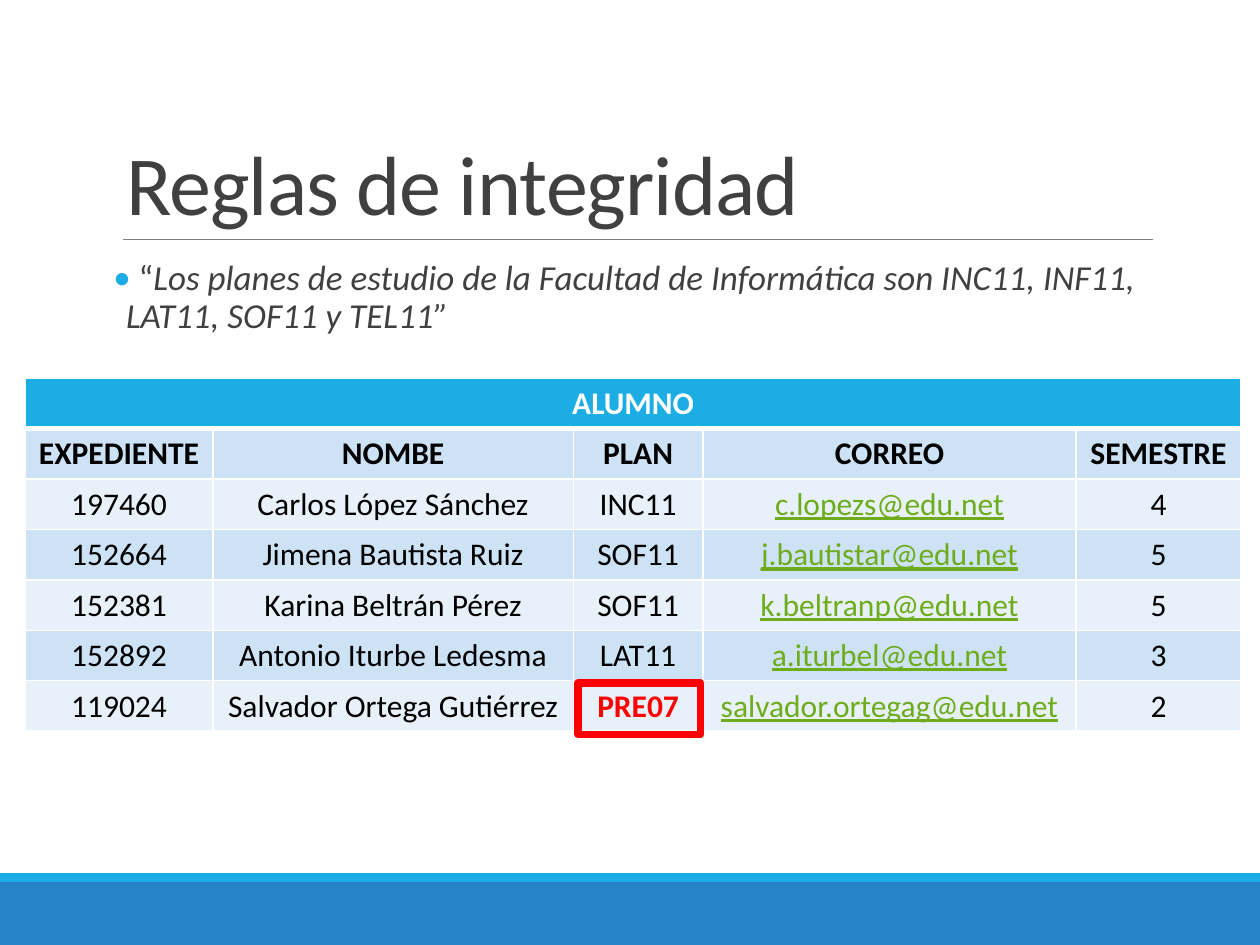
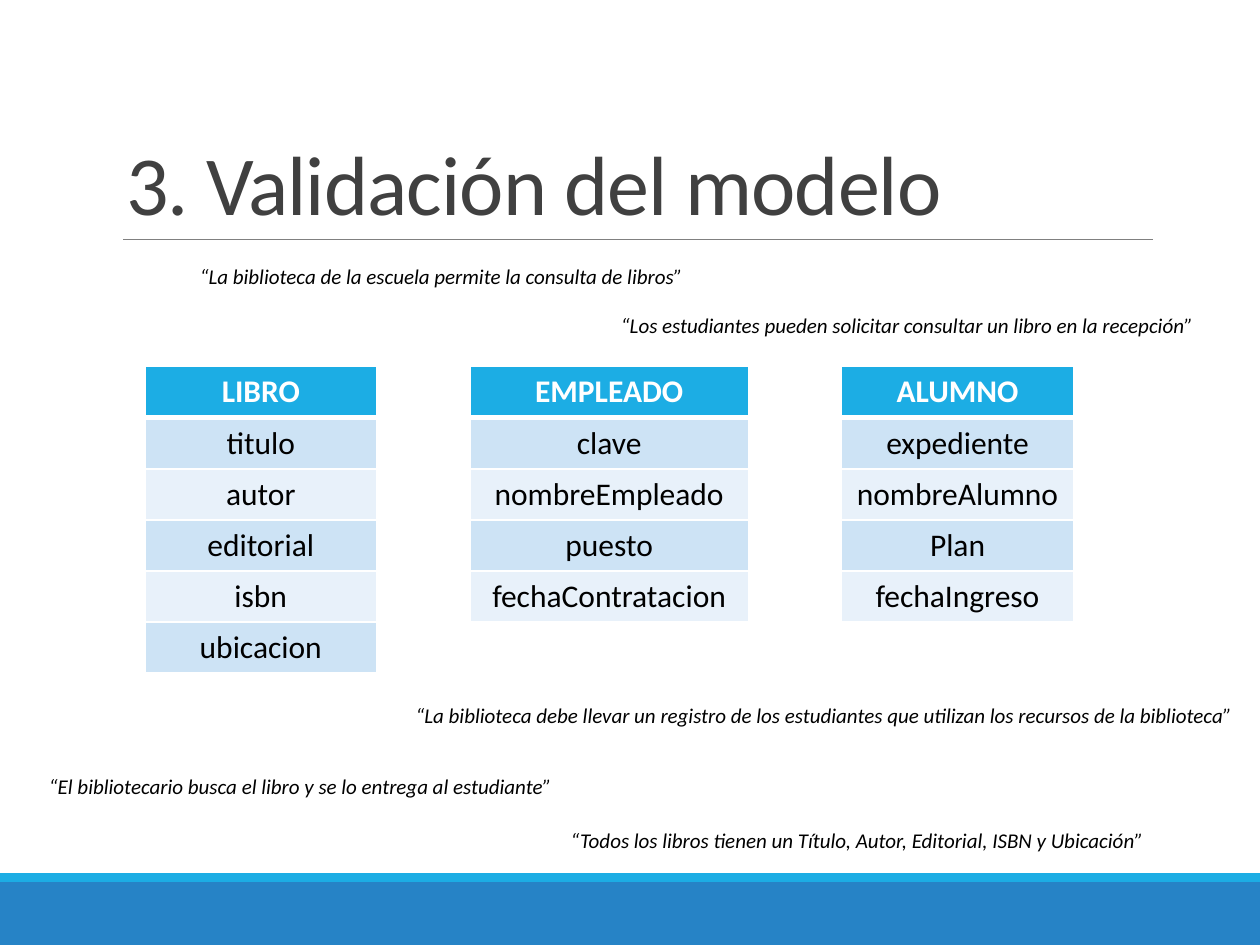
from dataclasses import dataclass

from lxml.etree import SubElement
from pptx import Presentation
from pptx.dml.color import RGBColor
from pptx.enum.shapes import MSO_CONNECTOR, MSO_SHAPE
from pptx.enum.text import MSO_ANCHOR, MSO_AUTO_SIZE, PP_ALIGN
from pptx.oxml.ns import qn
from pptx.util import Inches, Pt


@dataclass(frozen=True)
class Theme:
    font: str = "Calibri"
    accent: str = "1CADE4"
    footer: str = "2683C6"
    rule: str = "808080"
    heading: str = "404040"
    ink: str = "000000"
    white: str = "FFFFFF"
    link: str = "6EAC1C"
    alert: str = "FF0000"
    bands: tuple[str, str] = ("E8F1FA", "CDE3F5")
    title_size: int = 48
    body_size: int = 20
    table_size: int = 18
    quote_size: int = 12


@dataclass(frozen=True)
class Box:
    left: float
    top: float
    width: float
    height: float

    def lengths(self) -> tuple:
        return tuple(map(Inches, (self.left, self.top, self.width, self.height)))


@dataclass(frozen=True)
class TableSpec:
    name: str
    left: float
    top: float
    widths: tuple[float, ...]
    rows: tuple[tuple[str, ...], ...]
    has_column_names: bool = False
    invalid: str = ""


@dataclass(frozen=True)
class Entity:
    name: str
    width: float
    attributes: tuple[str, ...]


@dataclass(frozen=True)
class Quote:
    text: str
    left: float
    top: float
    width: float


THEME = Theme()
ROW_HEIGHT = 0.4
TITLE_BOX = Box(0.9, 0.31, 8.25, 1.59)
FOOTER_BANDS = (
    (Box(0, 7, 10, 0.5), THEME.footer),
    (Box(0, 6.93, 10, 0.07), THEME.accent),
)

STUDENTS = TableSpec(
    "ALUMNO", 0.2, 3, (1.49, 2.86, 1.03, 2.96, 1.31),
    (
        ("EXPEDIENTE", "NOMBE", "PLAN", "CORREO", "SEMESTRE"),
        ("197460", "Carlos López Sánchez", "INC11", "c.lopezs@edu.net", "4"),
        ("152664", "Jimena Bautista Ruiz", "SOF11", "j.bautistar@edu.net", "5"),
        ("152381", "Karina Beltrán Pérez", "SOF11", "k.beltranp@edu.net", "5"),
        ("152892", "Antonio Iturbe Ledesma", "LAT11", "a.iturbel@edu.net", "3"),
        ("119024", "Salvador Ortega Gutiérrez", "PRE07", "salvador.ortegag@edu.net", "2"),
    ),
    has_column_names=True,
    invalid="PRE07",
)
INVALID_PLAN_BOX = Box(4.59, 5.42, 0.97, 0.41)

ENTITY_LEFT, ENTITY_TOP, ENTITY_GAP = 1.15, 2.91, 0.74
ENTITIES = (
    Entity("LIBRO", 1.84, ("titulo", "autor", "editorial", "isbn", "ubicacion")),
    Entity("EMPLEADO", 2.21, ("clave", "nombreEmpleado", "puesto", "fechaContratacion")),
    Entity("ALUMNO", 1.84, ("expediente", "nombreAlumno", "Plan", "fechaIngreso")),
)
QUOTES = (
    Quote(" “La biblioteca de la escuela permite la consulta de libros”", 1.45, 2.04, 4.6),
    Quote("“Los estudiantes pueden solicitar consultar un libro en la recepción”",
          4.83, 2.43, 5.34),
    Quote("“La biblioteca debe llevar un registro de los estudiantes que utilizan "
          "los recursos de la biblioteca”", 3.2, 5.53, 6.92),
    Quote("“El bibliotecario busca el libro y se lo entrega al estudiante”", 0.29, 6.09, 6.92),
    Quote("“Todos los libros tienen un Título, Autor, Editorial, ISBN y Ubicación”",
          4.43, 6.52, 6.92),
)


def rgb(color: str) -> RGBColor:
    return RGBColor.from_string(color)


def add_text(p, text: str, *, size: int, color: str = THEME.ink, bold: bool = False,
             italic: bool = False, underline: bool = False):
    r = p.add_run()
    r.text = text
    font = r.font
    font.name, font.size, font.color.rgb = THEME.font, Pt(size), rgb(color)
    font.bold, font.italic, font.underline = bold, italic, underline
    return r


def add_rect(slide, box: Box, *, fill: str = "", line: str = "", weight: float = 1):
    sp = slide.shapes.add_shape(MSO_SHAPE.RECTANGLE, *box.lengths())
    sp.shadow.inherit = False
    if fill:
        sp.fill.solid()
        sp.fill.fore_color.rgb = rgb(fill)
    else:
        sp.fill.background()
    if line:
        sp.line.color.rgb = rgb(line)
        sp.line.width = Pt(weight)
    else:
        sp.line.fill.background()
    return sp


def add_textbox(slide, box: Box):
    tf = slide.shapes.add_textbox(*box.lengths()).text_frame
    tf.word_wrap = True
    return tf


def add_base_slide(prs, title: str):
    """Add a slide with the shared footer bands, title and title rule."""
    slide = prs.slides.add_slide(prs.slide_layouts[5])
    for box, color in FOOTER_BANDS:
        add_rect(slide, box, fill=color)
    rule = slide.shapes.add_connector(
        MSO_CONNECTOR.STRAIGHT, Inches(0.98), Inches(1.9), Inches(9.15), Inches(1.9))
    rule.line.color.rgb = rgb(THEME.rule)
    rule.line.width = Pt(0.5)
    SubElement(rule._element.spPr, qn("a:effectLst"))

    sp = slide.shapes.title
    sp.left, sp.top, sp.width, sp.height = TITLE_BOX.lengths()
    tf = sp.text_frame
    tf.word_wrap, tf.auto_size = True, MSO_AUTO_SIZE.NONE
    tf.vertical_anchor = MSO_ANCHOR.BOTTOM
    p = tf.paragraphs[0]
    p.alignment, p.line_spacing = PP_ALIGN.LEFT, 0.85
    r = add_text(p, title, size=THEME.title_size, color=THEME.heading)
    r._r.get_or_add_rPr().set("spc", "-50")
    return slide


def set_borders(cell, **weights: float) -> None:
    """Draw white borders; weights are points by side (L, R, T, B), 1 by default."""
    tc_pr = cell._tc.get_or_add_tcPr()
    for side in "LRTB":
        ln = SubElement(tc_pr, qn(f"a:ln{side}"), w=str(Pt(weights.get(side, 1))))
        fill = SubElement(ln, qn("a:solidFill"))
        SubElement(fill, qn("a:srgbClr"), val=THEME.white)


def fill_cell(cell, text: str, fill: str, **text_format) -> None:
    cell.fill.solid()
    cell.fill.fore_color.rgb = rgb(fill)
    p = cell.text_frame.paragraphs[0]
    p.alignment = PP_ALIGN.CENTER
    if text:
        add_text(p, text, size=THEME.table_size, **text_format)


def add_table(slide, spec: TableSpec) -> None:
    n_rows, n_cols = len(spec.rows) + 1, len(spec.widths)
    box = Box(spec.left, spec.top, sum(spec.widths), n_rows * ROW_HEIGHT)
    table = slide.shapes.add_table(n_rows, n_cols, *box.lengths()).table
    table.horz_banding = False
    for column, width in zip(table.columns, spec.widths):
        column.width = Inches(width)
    for row in table.rows:
        row.height = Inches(ROW_HEIGHT)

    for col in range(n_cols):
        cell = table.cell(0, col)
        set_borders(cell, B=3)
        fill_cell(cell, "" if col else spec.name, THEME.accent, color=THEME.white, bold=True)
    if n_cols > 1:
        table.cell(0, 0).merge(table.cell(0, n_cols - 1))

    for i, values in enumerate(spec.rows, start=1):
        for col, text in enumerate(values):
            cell = table.cell(i, col)
            set_borders(cell, T=3 if i == 1 else 1)
            is_link, is_invalid = "@" in text, text == spec.invalid
            color = THEME.link if is_link else THEME.alert if is_invalid else THEME.ink
            bold = is_invalid or (spec.has_column_names and i == 1)
            fill_cell(cell, text, THEME.bands[i % 2], color=color, bold=bold, underline=is_link)


def add_bullet(p, char: str, color: str, indent: float) -> None:
    p_pr = p._p.get_or_add_pPr()
    p_pr.set("marL", str(Inches(indent)))
    p_pr.set("indent", str(Inches(-indent)))
    bu_clr = SubElement(p_pr, qn("a:buClr"))
    SubElement(bu_clr, qn("a:srgbClr"), val=color)
    SubElement(p_pr, qn("a:buFont"), typeface=THEME.font)
    SubElement(p_pr, qn("a:buChar"), char=char)


def build_integrity_slide(prs) -> None:
    slide = add_base_slide(prs, "Reglas de integridad")
    tf = add_textbox(slide, Box(0.9, 2.02, 8.25, 4.4))
    tf.margin_left = tf.margin_right = 0
    p = tf.paragraphs[0]
    p.line_spacing, p.space_before, p.space_after = 0.9, Pt(12), Pt(2)
    add_bullet(p, "•", THEME.accent, 0.1)
    body = dict(size=THEME.body_size, color=THEME.heading)
    add_text(p, " “", **body)
    add_text(p, "Los planes de estudio de la Facultad de Informática son INC11, INF11, "
                "LAT11, SOF11 y TEL11”", italic=True, **body)
    add_table(slide, STUDENTS)
    add_rect(slide, INVALID_PLAN_BOX, line=THEME.alert, weight=4.5)


def build_validation_slide(prs) -> None:
    slide = add_base_slide(prs, "3. Validación del modelo")
    left = ENTITY_LEFT
    for entity in ENTITIES:
        rows = tuple((attribute,) for attribute in entity.attributes)
        add_table(slide, TableSpec(entity.name, left, ENTITY_TOP, (entity.width,), rows))
        left += entity.width + ENTITY_GAP
    for quote in QUOTES:
        tf = add_textbox(slide, Box(quote.left, quote.top, quote.width, 0.61))
        add_text(tf.paragraphs[0], quote.text, size=THEME.quote_size, italic=True)


def main() -> None:
    prs = Presentation()
    prs.slide_width, prs.slide_height = Inches(10), Inches(7.5)
    build_integrity_slide(prs)
    build_validation_slide(prs)
    prs.save("out.pptx")


if __name__ == "__main__":
    main()
